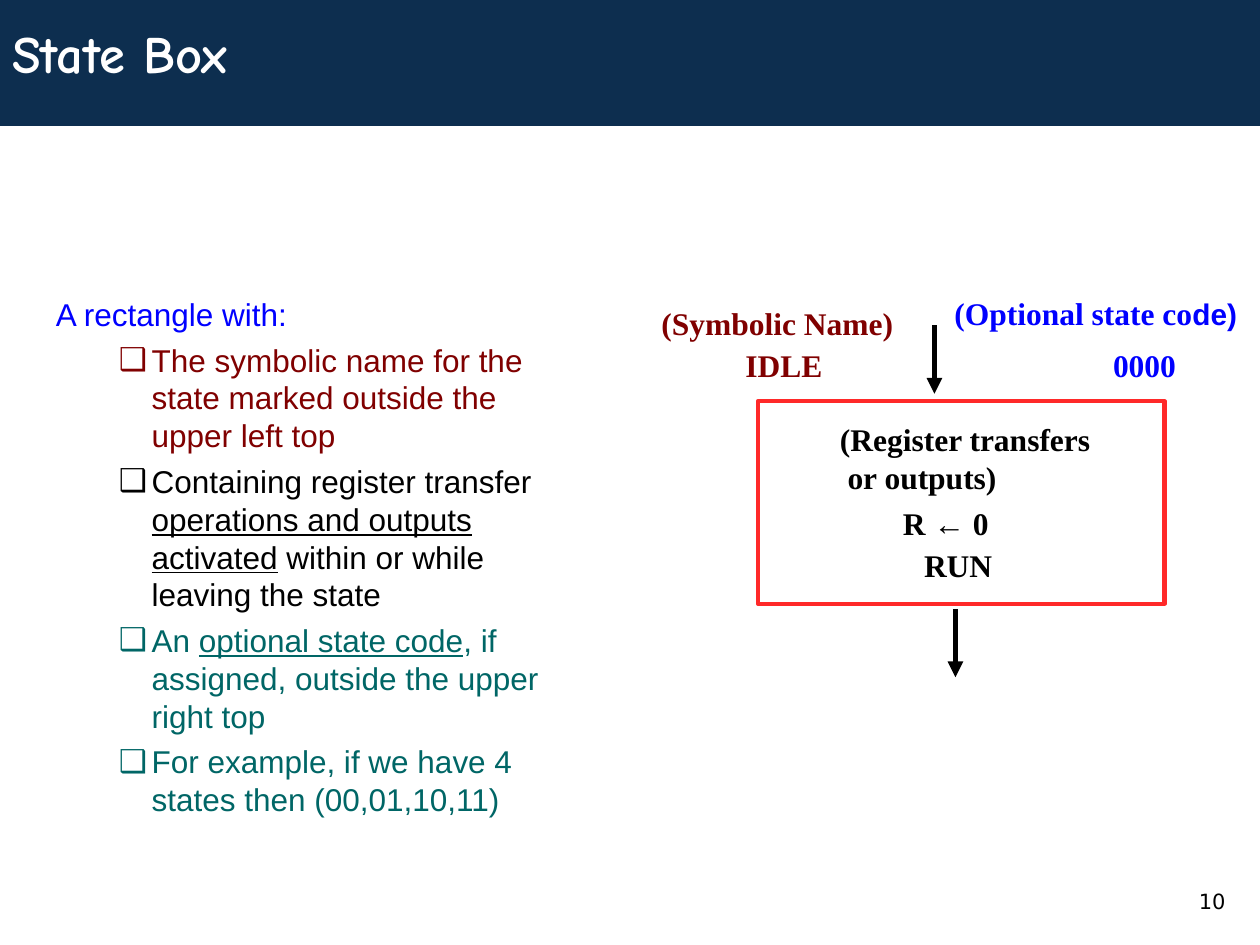
from pptx import Presentation
from pptx.dml.color import RGBColor
from pptx.enum.shapes import MSO_CONNECTOR as Connector, MSO_SHAPE as Shape
from pptx.enum.text import MSO_ANCHOR as Anchor
from pptx.oxml.ns import qn
from pptx.util import Inches, Pt
from lxml.etree import SubElement

COLORS = {"navy": "0D2E4F", "white": "FFFFFF", "black": "000000", "blue": "0000FF",
          "maroon": "800000", "teal": "006666", "red": "FF2929"}
SERIF, SANS = "Times New Roman", "Arial"


class StateBoxSlide:
    """Draws on one slide with a grid of 120 columns by 90 rows."""

    def __init__(self, presentation):
        self.slide = presentation.slides.add_slide(presentation.slide_layouts[6])
        self.column = presentation.slide_width / 120
        self.row = presentation.slide_height / 90

    def place(self, left, top, width, height):
        return (round(left * self.column), round(top * self.row),
                round(width * self.column), round(height * self.row))

    def color(self, name):
        return RGBColor.from_string(COLORS[name])

    def rectangle(self, box, fill=None, line=None, width=0):
        shape = self.slide.shapes.add_shape(Shape.RECTANGLE, *self.place(*box))
        shape.shadow.inherit = False
        for part, name in ((shape.fill, fill), (shape.line.fill, line)):
            if name:
                part.solid()
                part.fore_color.rgb = self.color(name)
            else:
                part.background()
        if line:
            shape.line.width = Pt(width)

    def text_frame(self, box, inset=True, anchor=Anchor.TOP):
        frame = self.slide.shapes.add_textbox(*self.place(*box)).text_frame
        frame.word_wrap = True
        frame.vertical_anchor = anchor
        if not inset:
            frame.margin_left = frame.margin_right = 0
            frame.margin_top = frame.margin_bottom = 0
        return frame

    def style(self, run, color, size=18, font=SANS, bold=False, underline=False):
        run.font.size = Pt(size)
        run.font.name = font
        run.font.bold = bold
        run.font.underline = underline
        run.font.color.rgb = self.color(color)

    def text(self, box, text, color, size, font, bold=False, anchor=Anchor.TOP):
        paragraph = self.text_frame(box, anchor=anchor).paragraphs[0]
        paragraph.text = text
        self.style(paragraph.runs[0], color, size, font, bold)

    def label(self, box, lines, color):
        frame = self.text_frame(box, inset=False)
        for index, parts in enumerate(lines):
            paragraph = frame.add_paragraph() if index else frame.paragraphs[0]
            if index:
                paragraph._p.get_or_add_pPr().set("marL", str(Inches(0.06)))
            for text, changes in parts:
                run = paragraph.add_run()
                run.text = text
                self.style(run, color, **{"font": SERIF, "bold": True, **changes})

    def bullet(self, paragraph, color):
        properties = paragraph._p.get_or_add_pPr()
        properties.set("marL", str(Inches(0.76)))
        properties.set("indent", str(Inches(-0.26)))
        bullet_color = SubElement(properties, qn("a:buClr"))
        SubElement(bullet_color, qn("a:srgbClr"), val=COLORS[color])
        SubElement(properties, qn("a:buFont"), typeface=SANS)
        SubElement(properties, qn("a:buChar"), char="❑")

    def bullet_list(self, box, heading, heading_color, items):
        frame = self.text_frame(box)
        frame.text = heading
        self.style(frame.paragraphs[0].runs[0], heading_color)
        for color, parts in items:
            paragraph = frame.add_paragraph()
            paragraph.space_before = Pt(4.5)
            self.bullet(paragraph, color)
            for index, text in enumerate(parts):
                run = paragraph.add_run()
                run.text = text
                self.style(run, color, underline=index % 2 == 1)

    def down_arrow(self, column, row, length):
        left, top, _, height = self.place(column, row, 0, length)
        connector = self.slide.shapes.add_connector(
            Connector.STRAIGHT, left, top, left, top + height)
        connector.line.color.rgb = self.color("black")
        connector.line.width = Pt(3)
        SubElement(connector.line._get_or_add_ln(), qn("a:tailEnd"), type="triangle")
        SubElement(connector._element.spPr, qn("a:effectLst"))


def main():
    presentation = Presentation()
    presentation.slide_width, presentation.slide_height = Inches(10), Inches(7.5)
    page = StateBoxSlide(presentation)

    page.rectangle((0, 0, 120, 12), fill="navy")
    page.text((0, 0, 120, 10), "State Box", "white", 30, "Comic Neue", True, Anchor.MIDDLE)
    page.text((113, 84, 7, 6), "10", "black", 12, "DejaVu Sans")

    page.bullet_list((4.15, 27.5, 51.75, 52.5), "A rectangle with:", "blue", [
        ("maroon", ["The symbolic name for the state marked outside the upper left top"]),
        ("black", ["Containing register transfer ", "operations and outputs activated",
                   " within or while leaving the state"]),
        ("teal", ["An ", "optional state code", ", if assigned, outside the upper right top"]),
        ("teal", ["For example, if we have 4 states then (00,01,10,11)"]),
    ])

    page.rectangle((72.2, 38.2, 38.7, 19.3), line="red", width=2.5)
    for box, lines, color in [
        ((63, 29, 24, 3.6), [[("(Symbolic Name)", {})]], "maroon"),
        ((71, 33, 9, 3.6), [[("IDLE", {})]], "maroon"),
        ((80, 40, 26, 7.2), [[("(Register transfers", {})], [("or outputs)", {})]], "black"),
        ((86, 48, 12.5, 3.6), [[("R ", {}), ("←", {"bold": False}), (" 0", {})]], "black"),
        ((88, 52, 8, 3.6), [[("RUN", {})]], "black"),
        ((90.9, 28, 28.5, 3.6),
         [[("(Optional state co", {}), ("de)", {"size": 17, "font": SANS})]], "blue"),
        ((106, 33, 8, 3.6), [[("0000", {})]], "blue"),
    ]:
        page.label(box, lines, color)

    page.down_arrow(89, 31, 6.5)
    page.down_arrow(91, 58, 6.5)
    presentation.save("out.pptx")


if __name__ == "__main__":
    main()
